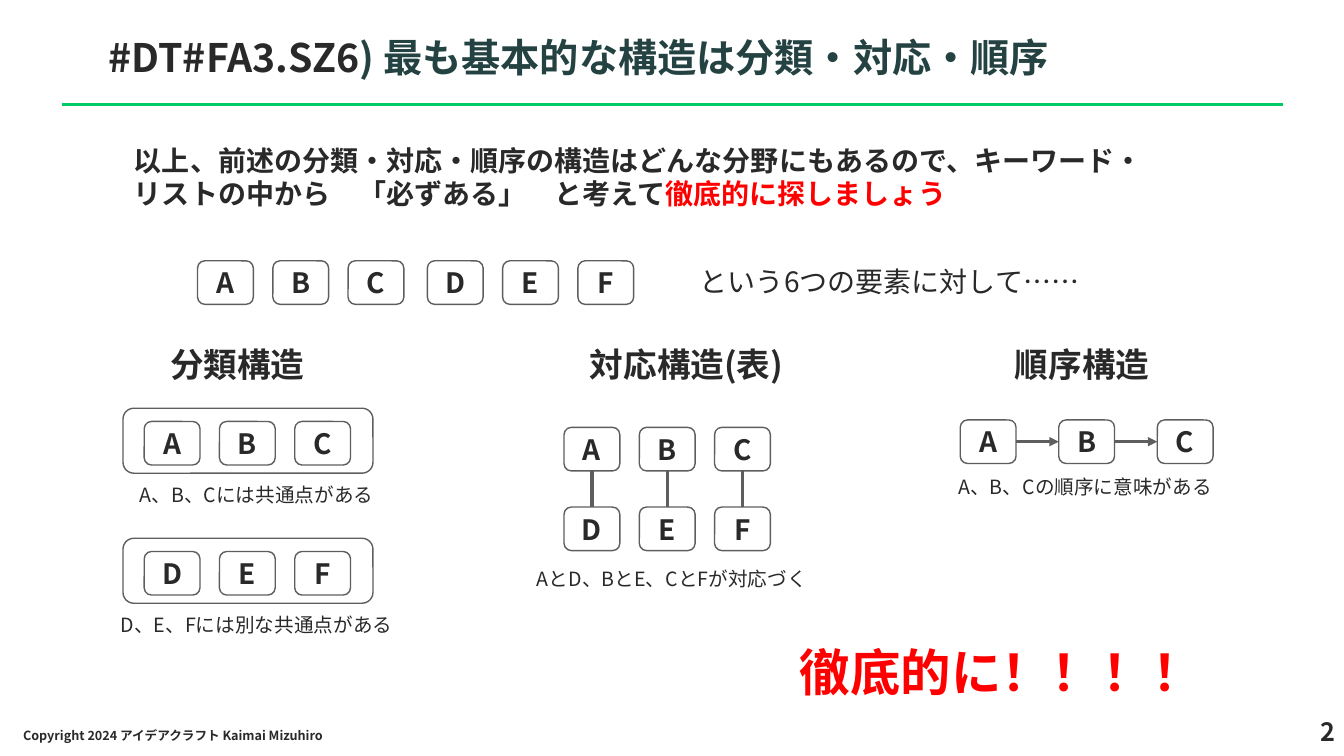
from dataclasses import dataclass

from lxml import etree
from pptx import Presentation
from pptx import util as u
from pptx.dml.color import RGBColor
from pptx.enum import shapes, text
from pptx.oxml.ns import qn


@dataclass(frozen=True)
class Theme:
    font: str = "Noto Sans CJK JP"
    ink: str = "292929"
    title: str = "244242"
    edge: str = "5E5E5E"
    rule: str = "00CC66"
    alert: str = "FF0000"
    paper: str = "FFFFFF"
    foot: int = 9
    note: int = 14
    page: int = 18
    body: int = 20
    sub: int = 24
    head: int = 28
    shout: int = 36
    thin: float = 1
    thick: float = 2.25


T = Theme()
WIDE, HIGH = u.Inches(13.333), u.Inches(7.5)
LEFT, MID, RIGHT = text.PP_ALIGN.LEFT, text.PP_ALIGN.CENTER, text.PP_ALIGN.RIGHT

# Lengths are percent of the slide's width and height.
TILE_W, TILE_H, STEP = 4.15, 5.76, 5.6
FRAME_W, FRAME_H = 18.6, 8.6
HEAD_Y, HEAD_H, NOTE_H = 44.8, 6.67, 4.5


def px(x):
    return round(WIDE * x / 100)


def py(y):
    return round(HIGH * y / 100)


def area(x, y, w, h):
    return px(x), py(y), px(w), py(h)


def rgb(code):
    return RGBColor.from_string(code)


def write(shape, *runs, size=T.body, bold=False, align=MID, wrap=True,
          anchor=text.MSO_ANCHOR.TOP, grow=False):
    """Fill a shape with one paragraph; each run is a string or (string, colour)."""
    frame = shape.text_frame
    frame.word_wrap = wrap
    frame.vertical_anchor = anchor
    if grow:
        frame.auto_size = text.MSO_AUTO_SIZE.SHAPE_TO_FIT_TEXT
    para = frame.paragraphs[0]
    para.alignment = align
    for item in runs:
        words, ink = (item, T.ink) if isinstance(item, str) else item
        run = para.add_run()
        run.text = words
        font = run.font
        font.name, font.size, font.bold = T.font, u.Pt(size), bold
        font.color.rgb = rgb(ink)
        east = etree.SubElement(run._r.get_or_add_rPr(), qn("a:ea"))
        east.set("typeface", T.font)


def label(slide, box, *runs, **look):
    write(slide.shapes.add_textbox(*area(*box)), *runs, **look)


def panel(slide, x, y, w, h):
    shape = slide.shapes.add_shape(
        shapes.MSO_SHAPE.ROUNDED_RECTANGLE, *area(x, y, w, h))
    shape.shadow.inherit = False
    shape.fill.solid()
    shape.fill.fore_color.rgb = rgb(T.paper)
    shape.line.color.rgb = rgb(T.edge)
    shape.line.width = u.Pt(T.thin)
    return shape


def tiles(slide, names, x, y, step=STEP):
    """Draw a row of lettered tiles and return them."""
    row = []
    for i, name in enumerate(names):
        tile = panel(slide, x + i * step, y, TILE_W, TILE_H)
        write(tile, name, bold=True, wrap=False, anchor=text.MSO_ANCHOR.MIDDLE)
        row.append(tile)
    return row


def line(slide, ends=(0, 0, 0, 0), ink=T.edge):
    x1, y1, x2, y2 = ends
    link = slide.shapes.add_connector(
        shapes.MSO_CONNECTOR.STRAIGHT, px(x1), py(y1), px(x2), py(y2))
    link.line.color.rgb = rgb(ink)
    link.line.width = u.Pt(T.thick)
    etree.SubElement(link._element.spPr, qn("a:effectLst"))
    return link


def join(slide, start, side, end, other, arrow=False):
    """Link the given sides of two tiles."""
    link = line(slide)
    link.begin_connect(start, side)
    link.end_connect(end, other)
    if arrow:
        tip = etree.SubElement(link.line._get_or_add_ln(), qn("a:tailEnd"))
        tip.set("type", "triangle")


def heading(slide, words, x, w):
    label(slide, (x, HEAD_Y, w, HEAD_H), words, size=T.sub, bold=True, grow=True)


def note(slide, words, x, y, w):
    label(slide, (x, y, w, NOTE_H), words, size=T.note, grow=True)


def groups(slide):
    heading(slide, "分類構造", 9.45, 16.43)
    rows = (("ABC", "A、B、Cには共通点がある"), ("DEF", "D、E、Fには別な共通点がある"))
    for i, (names, words) in enumerate(rows):
        y = 54 + i * 17.2
        panel(slide, 9.15, y, FRAME_W, FRAME_H)
        tiles(slide, names, 10.73, y + 1.75)
        note(slide, words, 6.53, y + 9.2, 25.13)


def pairs(slide):
    heading(slide, "対応構造(表)", 41.63, 18.9)
    upper = tiles(slide, "ABC", 41.97, 56.53)
    lower = tiles(slide, "DEF", 41.97, 67.07)
    for top, low in zip(upper, lower):
        join(slide, top, 2, low, 0)
    note(slide, "AとD、BとE、CとFが対応づく", 37.43, 74.27, 25.13)


def order(slide):
    heading(slide, "順序構造", 72.3, 16.43)
    row = tiles(slide, "ABC", 71.45, 55.55, step=7.33)
    for start, end in zip(row, row[1:]):
        join(slide, start, 3, end, 1, arrow=True)
    note(slide, "A、B、Cの順序に意味がある", 69.53, 62.13, 22.43)


def main():
    deck = Presentation()
    deck.slide_width, deck.slide_height = WIDE, HIGH
    slide = deck.slides.add_slide(deck.slide_layouts[6])

    line(slide, (4.58, 13.87, 95.48, 13.87), T.rule)
    label(slide, (7.35, 3.87, 89.85, 7.33), "#DT#FA3.SZ6",
          (") 最も基本的な構造は分類・対応・順序", T.title),
          size=T.head, bold=True, align=LEFT, anchor=text.MSO_ANCHOR.MIDDLE)
    label(slide, (9.23, 18.27, 78.53, 10.27),
          "以上、前述の分類・対応・順序の構造はどんな分野にもあるので、"
          "キーワード・リストの中から　「必ずある」　と考えて",
          ("徹底的に探しましょう", T.alert), bold=True, align=LEFT, grow=True)

    for names, x in (("ABC", 14.7), ("DEF", 31.8)):
        tiles(slide, names, x, 34.5)
    label(slide, (47.1, 34.4, 38.18, 5.87), "という6つの要素に対して……", grow=True)

    groups(slide)
    pairs(slide)
    order(slide)

    label(slide, (57.23, 84.13, 34.58, 9.47), ("徹底的に！！！！", T.alert),
          size=T.shout, bold=True, grow=True)
    label(slide, (0.98, 95.6, 41.4, 3.73),
          "Copyright 2024 アイデアクラフト Kaimai Mizuhiro",
          size=T.foot, bold=True, align=LEFT)
    label(slide, (76.8, 94.13, 23.33, 6.67), "2",
          size=T.page, bold=True, align=RIGHT)
    deck.save("out.pptx")


if __name__ == "__main__":
    main()
